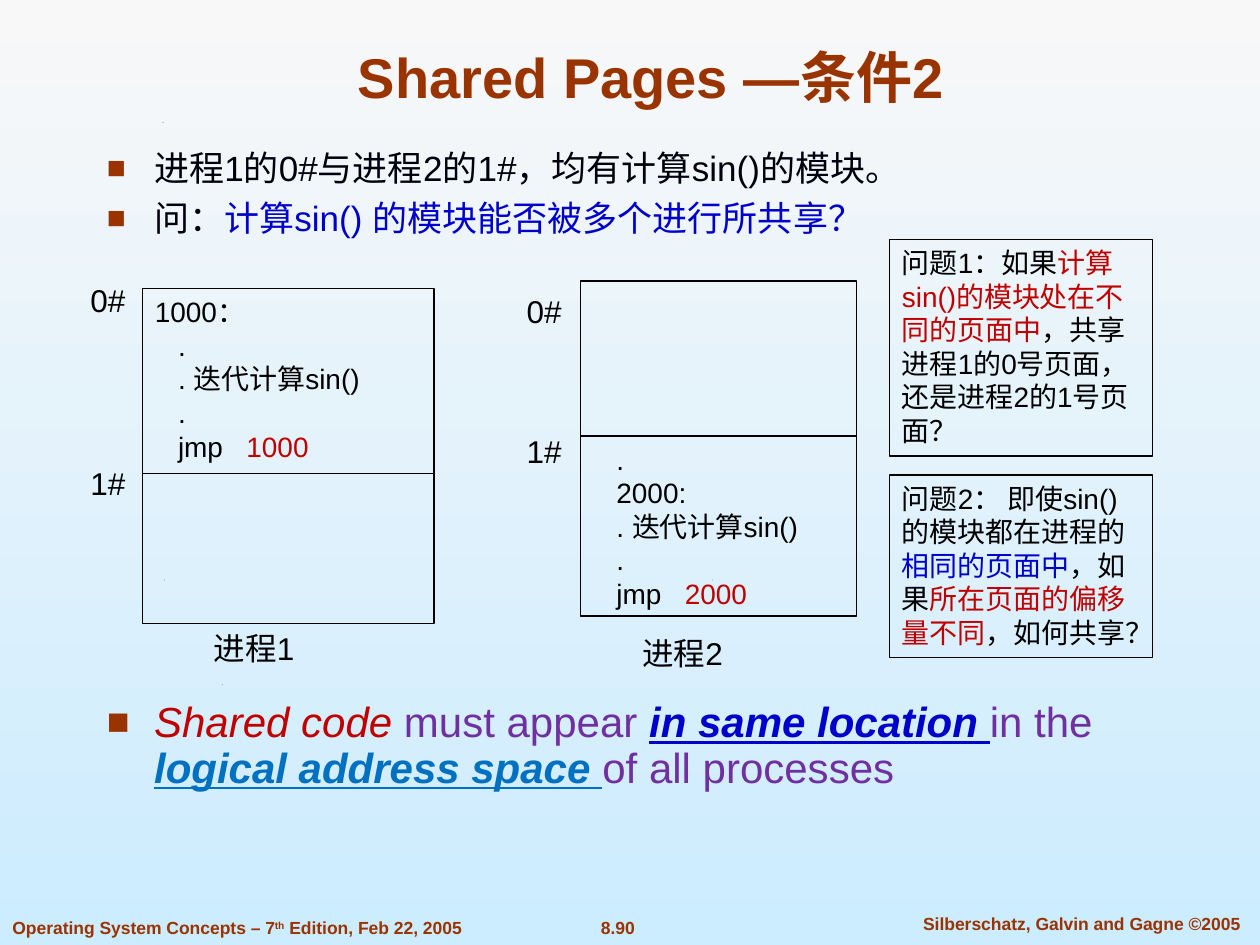
import lxml.etree
import pptx
import pptx.dml.color
import pptx.enum.shapes
import pptx.enum.text
import pptx.oxml.ns
import pptx.util

Pt = pptx.util.Pt
COLORS = {
    "black": "000000", "brown": "993300", "red": "C00000", "blue": "0000CC",
    "purple": "7030A0", "sky": "0070C0", "body": "00000C",
    "top": "F8F8F8", "bottom": "CCECFF",
}


def rgb(name):
    return pptx.dml.color.RGBColor.from_string(COLORS[name])


def add_text(left, top, width, height, paragraphs, size=18, color="black", bold=False,
             align="LEFT", anchor="TOP", wrap=True, framed=False, bullet=False):
    if framed:
        shape = slide.shapes.add_shape(
            pptx.enum.shapes.MSO_SHAPE.RECTANGLE, Pt(left), Pt(top), Pt(width), Pt(height))
        shape.shadow.inherit = False
        shape.fill.background()
        shape.line.color.rgb = rgb("black")
        shape.line.width = Pt(0.75)
    else:
        shape = slide.shapes.add_textbox(Pt(left), Pt(top), Pt(width), Pt(height))
    frame = shape.text_frame
    frame.word_wrap = wrap
    frame.vertical_anchor = getattr(pptx.enum.text.MSO_ANCHOR, anchor)
    for index, runs in enumerate(paragraphs):
        paragraph = frame.paragraphs[0] if index == 0 else frame.add_paragraph()
        paragraph.alignment = getattr(pptx.enum.text.PP_ALIGN, align)
        if bullet:
            paragraph.line_spacing = 0.9
            if index:
                paragraph.space_before = Pt(7)
            properties = paragraph._p.get_or_add_pPr()
            properties.set("marL", str(Pt(27)))
            properties.set("indent", str(-Pt(27)))
            bullet_color = lxml.etree.SubElement(properties, pptx.oxml.ns.qn("a:buClr"))
            lxml.etree.SubElement(bullet_color, pptx.oxml.ns.qn("a:srgbClr"), val=COLORS["brown"])
            lxml.etree.SubElement(properties, pptx.oxml.ns.qn("a:buSzPct"), val="90000")
            lxml.etree.SubElement(properties, pptx.oxml.ns.qn("a:buFont"), typeface="Arial")
            lxml.etree.SubElement(properties, pptx.oxml.ns.qn("a:buChar"), char="■")
        for text, *options in runs:
            run_color = options[0] if options else color
            style = options[1] if len(options) > 1 else ""
            run = paragraph.add_run()
            run.text = text
            run.font.name = "Arial"
            run.font.size = Pt(size)
            run.font.color.rgb = rgb(run_color)
            run.font.bold = bold or "b" in style
            run.font.italic = "i" in style
            run.font.underline = "u" in style
            if "^" in style:
                run.font._element.set("baseline", "30000")


presentation = pptx.Presentation()
presentation.slide_width = Pt(720)
presentation.slide_height = Pt(540)
slide = presentation.slides.add_slide(presentation.slide_layouts[6])

background = slide.background.fill
background.gradient()
background.gradient_angle = 270
for stop, name in zip(background.gradient_stops, ["top", "bottom"]):
    stop.color.rgb = rgb(name)

for left, top in [(126.7, 391), (93.6, 331.2), (406.8, 331.2), (92.9, 69.8)]:
    builder = slide.shapes.build_freeform(Pt(left), Pt(top + 0.5))
    builder.add_line_segments([(Pt(left + 0.5), Pt(top)), (Pt(left + 0.3), Pt(top + 0.5))])
    speck = builder.convert_to_shape()
    speck.shadow.inherit = False
    speck.fill.solid()
    speck.fill.fore_color.rgb = rgb("black")
    speck.line.fill.background()

footer = {"size": 10, "color": "brown", "bold": True}
add_text(334, 520.6, 38.2, 19.4, [[("8.90",)]], align="CENTER", wrap=False, **footer)
add_text(511.2, 518.4, 213.8, 19.4, [[("Silberschatz, Galvin and Gagne ©2005",)]],
         align="CENTER", **footer)
add_text(0, 520.6, 303, 19.4,
         [[("Operating System Concepts – 7",), ("th", "brown", "^"),
           (" Edition, Feb 22, 2005",)]],
         wrap=False, **footer)

add_text(54, 18, 635.8, 48.2, [[("Shared Pages —条件2",)]], size=32, color="brown",
         bold=True, align="CENTER", anchor="BOTTOM")
add_text(54, 82.8, 587.5, 59.8, [
    [("进程1的0#与进程2的1#，均有计算sin()的模块。",)],
    [("问：",), ("计算sin() 的模块能否被多个进行所共享？", "blue")],
], size=20, color="body", bullet=True)

processes = [
    (81.4, 164.9, 166.6, 270.7, "TOP", ["1000：", "   .", "   . 迭代计算sin()", "   ."], "1000"),
    (331.9, 160.6, 157.7, 249.1, "BOTTOM", ["   .", "   2000:", "   . 迭代计算sin()", "   ."], "2000"),
]
for left, top, width, divider_top, anchor, code, target in processes:
    lines = [[(line,)] for line in code] + [[("   jmp   ",), (target, "red")]]
    add_text(left, top, width, 191.5, lines, size=16, anchor=anchor, framed=True)
    divider = slide.shapes.add_connector(
        pptx.enum.shapes.MSO_CONNECTOR.STRAIGHT,
        Pt(left), Pt(divider_top), Pt(left + width), Pt(divider_top))
    divider.line.color.rgb = rgb("black")
    divider.line.width = Pt(0.75)
    lxml.etree.SubElement(divider._element.spPr, pptx.oxml.ns.qn("a:effectLst"))

labels = [
    (44.6, 157, 41.8, "0#"), (44.6, 261.4, 41.8, "1#"),
    (293.8, 163.4, 41.8, "0#"), (293.8, 243.4, 41.8, "1#"),
    (115.2, 355.7, 86.4, "进程1"), (360, 358.6, 86.4, "进程2"),
]
for left, top, width, label in labels:
    add_text(left, top, width, 28.8, [[(label,)]])

questions = [
    (136.8, 123.8, [("问题1：如果",), ("计算sin()的模块处在不同的页面中", "red"),
                    ("，共享进程1的0号页面，还是进程2的1号页面？",)]),
    (271.4, 104.4, [("问题2： 即使sin()的模块都在进程的",), ("相同的页面中", "blue"), ("，如果",),
                    ("所在页面的偏移量不同", "red"), ("，如何共享？",)]),
]
for top, height, runs in questions:
    add_text(508.3, top, 150.5, height, [runs], size=16, framed=True)

add_text(54, 397.4, 587.5, 72.7, [[
    ("Shared code ", "red", "i"), ("must appear ",), ("in same location ", "blue", "biu"),
    ("in the ",), ("logical address space ", "sky", "biu"), ("of all processes",),
]], size=24, color="purple", bullet=True)

presentation.save("out.pptx")
